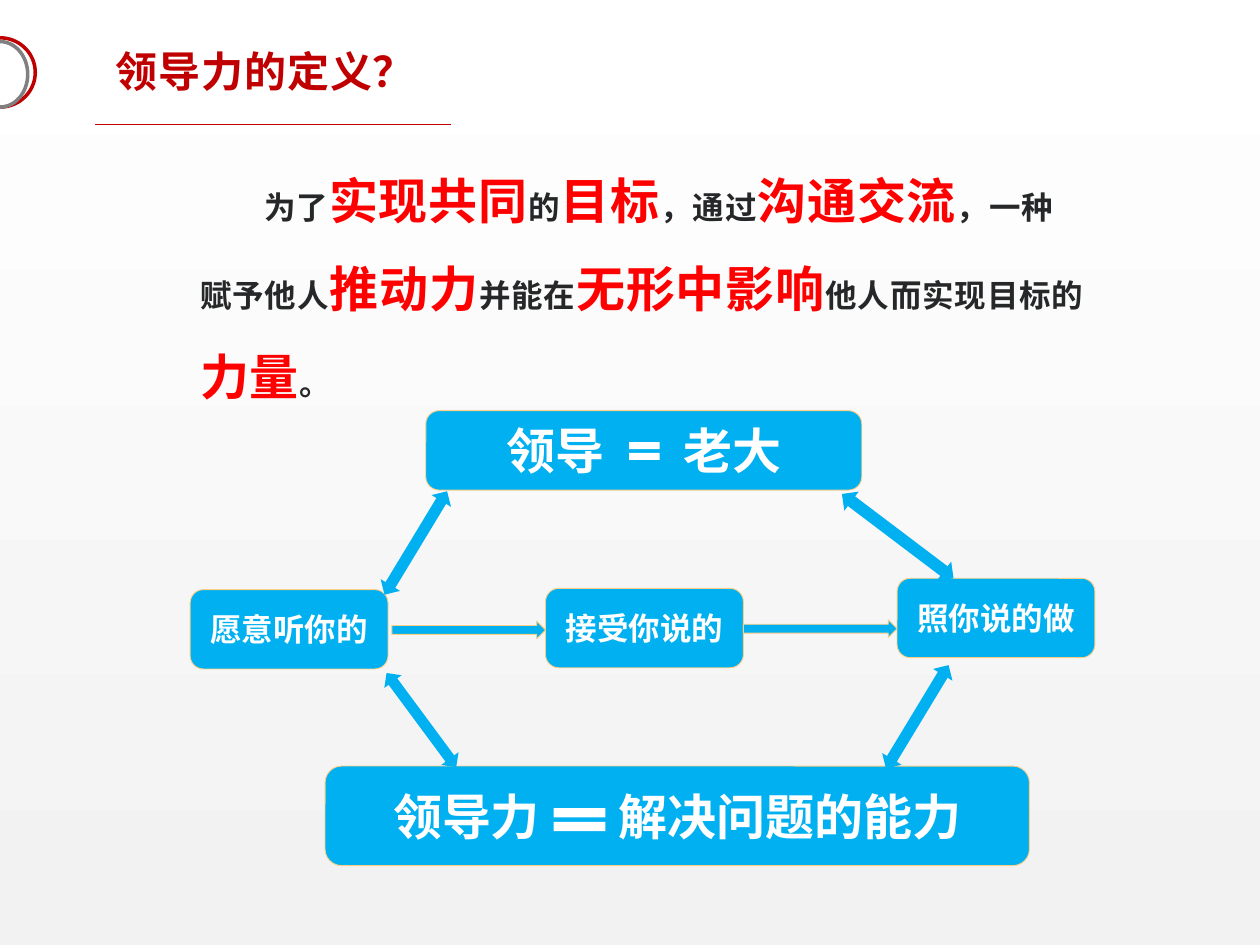
"""Build a slide that defines leadership with a diagram of linked boxes."""
from math import cos, pi, sin

from lxml import etree
from pptx import Presentation
from pptx.dml.color import RGBColor
from pptx.enum import shapes, text
from pptx.oxml import ns
from pptx.util import Inches, Pt

FONT = "Noto Sans CJK SC"
WHITE = RGBColor(0xFF, 0xFF, 0xFF)
PALE = RGBColor(0xF2, 0xF2, 0xF2)
GREY = RGBColor(0x80, 0x80, 0x80)
DARK = RGBColor(0x26, 0x27, 0x28)
CRIMSON = RGBColor(0xC0, 0x00, 0x00)
RED = RGBColor(0xFF, 0x00, 0x00)
BLUE = RGBColor(0x00, 0xB0, 0xF0)
GOLD = RGBColor(0xFC, 0xCF, 0x86)
KIND = shapes.MSO_SHAPE


def write(para, words, size, color, gap=0):
    run = para.add_run()
    run.text = words
    font = run.font
    font.name, font.size, font.bold = FONT, Pt(size), True
    font.color.rgb = color
    props = run._r.get_or_add_rPr()
    props.set("spc", str(int(gap * 100)))
    etree.SubElement(props, ns.qn("a:ea"), typeface=FONT)


def draw(kind, spot, fill, edge=None, turn=0):
    shape = slide.shapes.add_shape(kind, *map(Inches, spot))
    shape.shadow.inherit = False
    shape.rotation = turn
    shape.fill.solid()
    shape.fill.fore_color.rgb = fill
    if edge:
        shape.line.color.rgb = edge
        shape.line.width = Pt(0.5)
    else:
        shape.line.fill.background()
    return shape


deck = Presentation()
deck.slide_width, deck.slide_height = Inches(10), Inches(7.5)
slide = deck.slides.add_slide(deck.slide_layouts[6])

back = draw(KIND.RECTANGLE, (0, 0, 10, 7.5), WHITE)
back.fill.gradient()
back.fill.gradient_angle = 90
for stop, color in zip(back.fill.gradient_stops, (PALE, WHITE)):
    stop.color.rgb = color

for wide, high, mid, color in ((0.28, 0.275, 0.575, CRIMSON), (0.22, 0.26, 0.59, GREY)):
    steps = [pi * i / 40 for i in range(41)]
    dots = [(Inches(wide * sin(t)), Inches(mid - high * cos(t))) for t in steps]
    path = slide.shapes.build_freeform(*dots[0])
    path.add_line_segments(dots[1:], close=False)
    arc = path.convert_to_shape()
    arc.shadow.inherit = False
    arc.fill.background()
    arc.line.color.rgb = color
    arc.line.width = Pt(2)

title = slide.shapes.add_textbox(*map(Inches, (0.82, 0.31, 2.92, 0.5))).text_frame
title.word_wrap = True
write(title.paragraphs[0], "领导力的定义？", 24, CRIMSON, 0.5)

rule = slide.shapes.add_connector(
    shapes.MSO_CONNECTOR.STRAIGHT, *map(Inches, (0.75, 0.99, 3.58, 0.99)))
rule.line.color.rgb = CRIMSON
rule.line.width = Pt(0.5)
etree.SubElement(rule._element.spPr, ns.qn("a:effectLst"))

body = slide.shapes.add_textbox(*map(Inches, (1.49, 1.07, 7.23, 2.22))).text_frame
body.word_wrap = True
para = body.paragraphs[0]
para.line_spacing = 1.5
para._p.get_or_add_pPr().set("indent", str(Inches(0.51)))
parts = ("为了", "实现共同", "的", "目标", "，通过", "沟通交流", "，一种赋予他人",
         "推动力", "并能在", "无形中影响", "他人而实现目标的", "力量", "。")
for i, words in enumerate(parts):
    size, color = ((18, DARK), (28, RED))[i % 2]
    write(para, words, size, color, 0.5)

boxes = (
    ((1.51, 4.68, 1.57, 0.63), 18, ("愿意听你的",)),
    ((4.33, 4.67, 1.57, 0.63), 18, ("接受你说的",)),
    ((7.12, 4.59, 1.57, 0.63), 18, ("照你说的做",)),
    ((3.38, 3.26, 3.46, 0.63), 28, ("领导", "老大")),
    ((2.58, 6.08, 5.59, 0.79), 28, ("领导力", "解决问题的能力")),
)
for spot, size, words in boxes:
    frame = draw(KIND.ROUNDED_RECTANGLE, spot, BLUE, GOLD).text_frame
    frame.vertical_anchor = text.MSO_ANCHOR.MIDDLE
    para = frame.paragraphs[0]
    para.alignment = text.PP_ALIGN.CENTER
    write(para, words[0], size, WHITE)
    for word in words[1:]:
        write(para, " ", 18, WHITE, 41)
        write(para, word, size, WHITE)

for left, top in ((3.11, 4.93), (5.9, 4.92)):
    draw(KIND.RIGHT_ARROW, (left, top, 1.22, 0.14), BLUE, GOLD)

links = (
    ((3.21, 3.83, 0.18, 0.96), 31.2),
    ((7.03, 3.7, 0.19, 1.11), 307.1),
    ((3.26, 5.25, 0.17, 0.93), 323.5),
    ((7.19, 5.21, 0.18, 0.96), 31.2),
)
for spot, turn in links:
    draw(KIND.UP_DOWN_ARROW, spot, BLUE, turn=turn)

for spot in ((4.32, 6.35, 0.56, 0.31), (4.95, 3.46, 0.33, 0.24)):
    draw(KIND.MATH_EQUAL, spot, WHITE)

deck.save("out.pptx")
